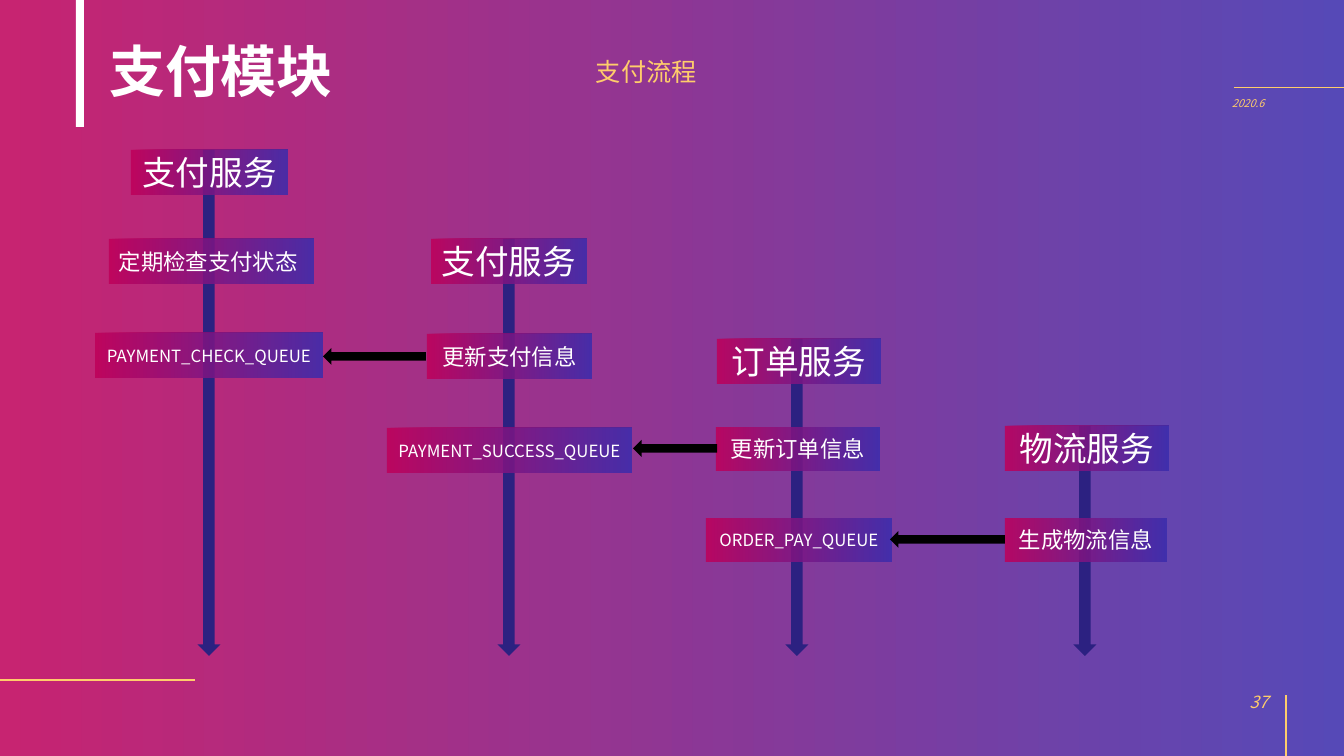
from lxml.etree import SubElement
from pptx import Presentation
from pptx.dml.color import RGBColor
from pptx.enum.shapes import MSO_CONNECTOR, MSO_SHAPE
from pptx.enum.text import MSO_ANCHOR, MSO_AUTO_SIZE, PP_ALIGN
from pptx.oxml.ns import qn
from pptx.util import Pt

PX = 914400 / 100.8  # EMU in one px
WIDE, HIGH = 1344, 756

ROSE = RGBColor(0xBE, 0x00, 0x5A)
BLUE = RGBColor(0x3B, 0x2C, 0xAC)
NAVY = RGBColor(0x2C, 0x21, 0x81)
GOLD = RGBColor(0xFF, 0xCD, 0x6B)
WHITE = RGBColor(0xFF, 0xFF, 0xFF)
BLACK = RGBColor(0x00, 0x00, 0x00)
SANS, ARIAL = "Noto Sans CJK SC", "Arial"

# Content
TITLE = "支付模块"
TOPIC = "支付流程"
DATE = "2020.6"
PAGE = "37"

HEAD, STEP, QUEUE = (24, ARIAL), (16, ARIAL), (12, SANS)
LEFT, MID, RIGHT = PP_ALIGN.LEFT, PP_ALIGN.CENTER, PP_ALIGN.RIGHT

# Each lane: centre x, then boxes as text, style, align, left, top, width, height
LANES = [
    (209, [("支付服务", HEAD, MID, 131, 150, 157, 45),
           ("定期检查支付状态", STEP, LEFT, 109, 239, 205, 45),
           ("PAYMENT_CHECK_QUEUE", QUEUE, MID, 95, 333, 228, 45)]),
    (509, [("支付服务", HEAD, MID, 431, 239, 156, 45),
           ("更新支付信息", STEP, MID, 427, 334, 165, 45),
           ("PAYMENT_SUCCESS_QUEUE", QUEUE, MID, 387, 428, 245, 45)]),
    (797, [("订单服务", HEAD, MID, 717, 339, 164, 45),
           ("更新订单信息", STEP, MID, 716, 427, 164, 44),
           ("ORDER_PAY_QUEUE", QUEUE, MID, 706, 518, 186, 44)]),
    (1085, [("物流服务", HEAD, MID, 1005, 426, 164, 45),
            ("生成物流信息", STEP, MID, 1005, 518, 162, 44)]),
]
FOOT = 656  # where all lanes end
SHAFT, THICK = 23, 17

# Left, top, width of the arrows from step to queue
LINKS = [(323, 348, 103), (633, 440, 84), (890, 531, 115)]

# From x, y, to x, y, points
RULES = [(1234, 88, 1344, 88, 0.75), (0, 680, 195, 680, 1.5),
         (1286, 756, 1286, 695, 1.5)]


def emu(*vals):
    return [round(v * PX) for v in vals]


def blend(fill):
    fill.gradient()
    fill.gradient_angle = 0
    for stop, tint in zip(fill.gradient_stops, (ROSE, BLUE)):
        stop.color.rgb = tint
    for node in fill._xPr.iter(qn("a:srgbClr")):
        SubElement(node, qn("a:alpha"), val="85000")


def shape(kind, x, y, w, h, tint=None):
    item = deck.add_shape(kind, *emu(x, y, w, h))
    item.shadow.inherit = False
    item.line.fill.background()
    if tint is None:
        blend(item.fill)
    else:
        item.fill.solid()
        item.fill.fore_color.rgb = tint
    return item


def write(item, text, size, face=SANS, tint=WHITE, align=LEFT,
          anchor=MSO_ANCHOR.MIDDLE, wrap=True, bold=False, slant=False,
          space=None):
    frame = item.text_frame
    frame.text = text
    frame.auto_size = MSO_AUTO_SIZE.NONE
    frame.word_wrap = wrap
    frame.vertical_anchor = anchor
    para = frame.paragraphs[0]
    para.alignment = align
    if space:
        para.line_spacing = space
    font = para.font
    font.size, font.name = Pt(size), face
    font.bold, font.italic = bold, slant
    font.color.rgb = tint
    SubElement(para._p.pPr.find(qn("a:defRPr")), qn("a:ea"), typeface=SANS)


def note(x, y, w, h):
    return deck.add_textbox(*emu(x, y, w, h))


prs = Presentation()
prs.slide_width, prs.slide_height = emu(WIDE, HIGH)
slide = prs.slides.add_slide(prs.slide_layouts[5])
deck = slide.shapes

# Backdrop, behind the title
back = shape(MSO_SHAPE.RECTANGLE, 0, 0, WIDE, HIGH)
deck._spTree.insert(2, back._element)
shape(MSO_SHAPE.RECTANGLE, 76, 0, 8, 127, WHITE)
for x1, y1, x2, y2, thick in RULES:
    rule = deck.add_connector(MSO_CONNECTOR.STRAIGHT, *emu(x1, y1, x2, y2))
    rule.line.color.rgb = GOLD
    rule.line.width = Pt(thick)
    SubElement(rule._element.spPr, qn("a:effectLst"))

# Title and small texts
title = deck.title
title.left, title.top, title.width, title.height = emu(99, 33, 373, 77)
write(title, TITLE, 40, anchor=MSO_ANCHOR.BOTTOM, bold=True, space=0.9)
write(note(976, 682, 302, 40), PAGE, 12, tint=GOLD, align=RIGHT, slant=True)
write(note(1222, 93, 68, 36), DATE, 7.6, tint=GOLD, anchor=MSO_ANCHOR.TOP,
      slant=True, space=0.9)
write(note(586, 51, 121, 40), TOPIC, 18, tint=GOLD, anchor=MSO_ANCHOR.TOP,
      wrap=False)

# Lanes: a long arrow with its boxes on top
for mid, boxes in LANES:
    top = boxes[0][4]
    shape(MSO_SHAPE.DOWN_ARROW, mid - SHAFT / 2, top, SHAFT, FOOT - top, NAVY)
    for text, (size, face), align, *area in boxes:
        write(shape(MSO_SHAPE.RECTANGLE, *area), text, size, face, align=align)

# Links between lanes
for x, y, w in LINKS:
    shape(MSO_SHAPE.LEFT_ARROW, x, y, w, THICK, BLACK)

prs.save("out.pptx")
